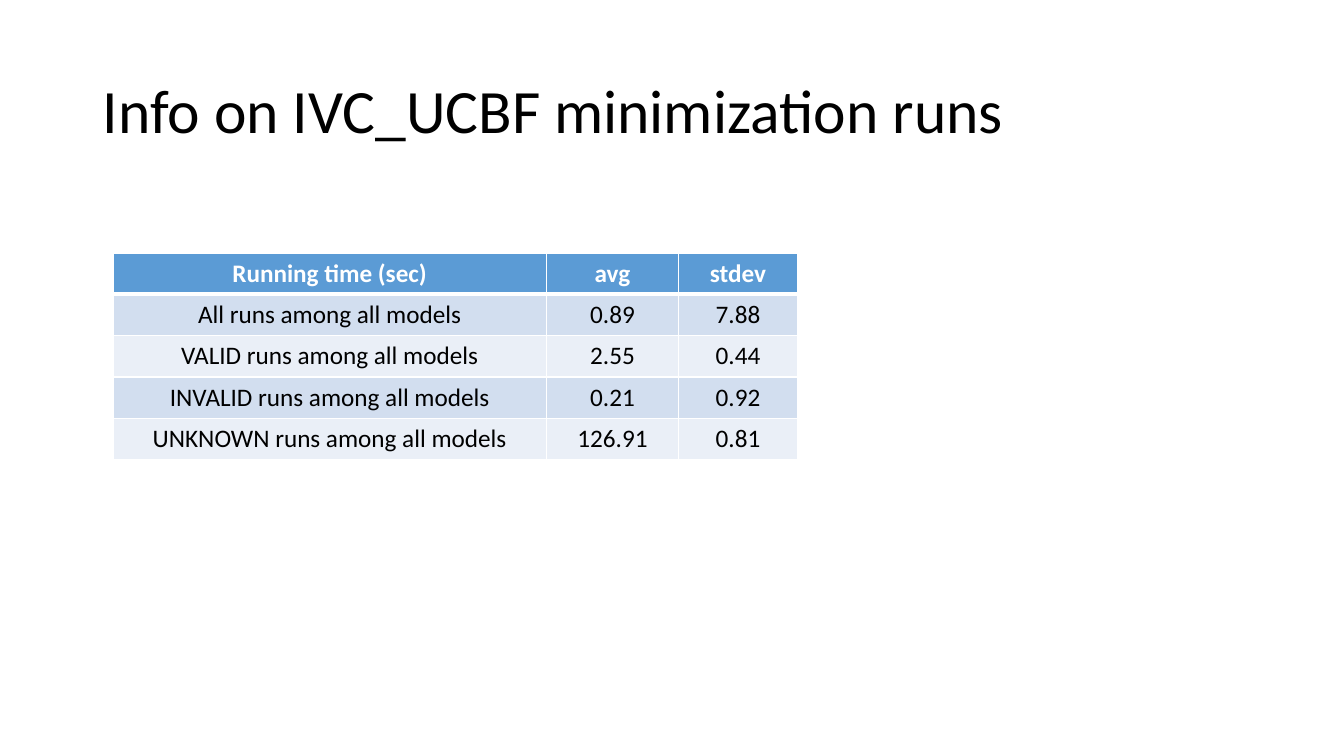
"""Build a slide with a table of IVC_UCBF minimization running times."""
from lxml.etree import SubElement
from pptx import Presentation
from pptx.dml.color import RGBColor
from pptx.enum.text import MSO_ANCHOR as Anchor, PP_ALIGN as Align
from pptx.oxml.ns import qn
from pptx.util import Pt

TITLE = "Info on IVC_UCBF minimization runs"
RUNTIMES = [
    ("Running time (sec)", "avg", "stdev"),
    ("All runs among all models", "0.89", "7.88"),
    ("VALID runs among all models", "2.55", "0.44"),
    ("INVALID runs among all models", "0.21", "0.92"),
    ("UNKNOWN runs among all models", "126.91", "0.81"),
]
COLORS = {"header": "5B9BD5", "odd": "D2DEEF", "even": "EAEFF7",
          "light": "FFFFFF", "dark": "000000"}
FONT = "Calibri"
PX = 9144
SLIDE_SIZE = (1333, 750)
TITLE_BOX = (92, 40, 1150, 145)
TABLE_ORIGIN = (112, 251)
COLUMN_WIDTHS = (430, 131, 118)
ROW_HEIGHT = 41


def emu(*lengths):
    return [length * PX for length in lengths]


def style_run(run, size, color, bold=False):
    run.font.name = FONT
    run.font.size = Pt(size)
    run.font.bold = bold
    run.font.color.rgb = RGBColor.from_string(COLORS[color])


def add_borders(cell, top, bottom):
    properties = cell._tc.get_or_add_tcPr()
    for side, width in (("L", 1), ("R", 1), ("T", top), ("B", bottom)):
        line = SubElement(properties, qn(f"a:ln{side}"), w=str(Pt(width)))
        fill = SubElement(line, qn("a:solidFill"))
        SubElement(fill, qn("a:srgbClr"), val=COLORS["light"])


def add_title(slide):
    frame = slide.shapes.add_textbox(*emu(*TITLE_BOX)).text_frame
    frame.word_wrap = True
    frame.vertical_anchor = Anchor.MIDDLE
    frame.text = TITLE
    heading = frame.paragraphs[0]
    heading.line_spacing = 0.9
    style_run(heading.runs[0], 44, "dark")


def add_runtimes(slide):
    size = (sum(COLUMN_WIDTHS), ROW_HEIGHT * len(RUNTIMES))
    table = slide.shapes.add_table(
        len(RUNTIMES), len(COLUMN_WIDTHS), *emu(*TABLE_ORIGIN, *size)).table
    for column, width in zip(table.columns, COLUMN_WIDTHS):
        column.width = width * PX
    for r, values in enumerate(RUNTIMES):
        is_header = r == 0
        band = "header" if is_header else "odd" if r % 2 else "even"
        for c, value in enumerate(values):
            cell = table.cell(r, c)
            add_borders(cell, 3 if r == 1 else 1, 3 if is_header else 1)
            cell.fill.solid()
            cell.fill.fore_color.rgb = RGBColor.from_string(COLORS[band])
            cell.vertical_anchor = Anchor.MIDDLE
            cell.text_frame.text = value
            entry = cell.text_frame.paragraphs[0]
            entry.alignment = Align.CENTER
            style_run(entry.runs[0], 18, "light" if is_header else "dark", is_header)


def main():
    deck = Presentation()
    deck.slide_width, deck.slide_height = emu(*SLIDE_SIZE)
    slide = deck.slides.add_slide(deck.slide_layouts[6])
    add_title(slide)
    add_runtimes(slide)
    deck.save("out.pptx")


if __name__ == "__main__":
    main()
